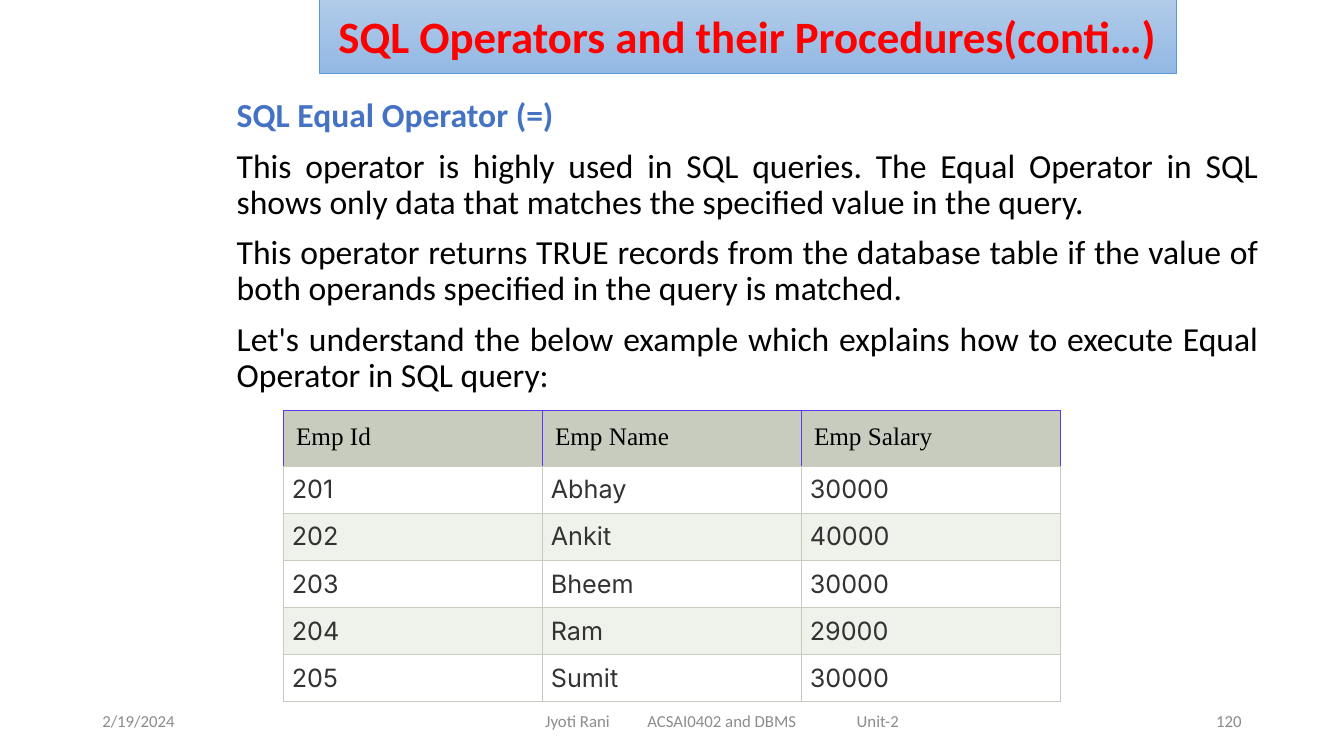
"""Build the slide on the SQL equal operator with its employee table."""
from lxml import etree
from pptx import Presentation
from pptx.dml.color import RGBColor
from pptx.enum.text import MSO_ANCHOR, MSO_AUTO_SIZE, PP_ALIGN
from pptx.oxml.ns import qn
from pptx.util import Pt

LEFT, CENTER, RIGHT, JUSTIFY = PP_ALIGN.LEFT, PP_ALIGN.CENTER, PP_ALIGN.RIGHT, PP_ALIGN.JUSTIFY
MIDDLE, NO_FIT = MSO_ANCHOR.MIDDLE, MSO_AUTO_SIZE.NONE
RED = RGBColor(0xFF, 0x00, 0x00)
BLUE = RGBColor(0x44, 0x72, 0xC4)
BLACK = RGBColor(0x00, 0x00, 0x00)
WHITE = RGBColor(0xFF, 0xFF, 0xFF)
DARK = RGBColor(0x33, 0x33, 0x33)
GRAY = RGBColor(0x8C, 0x8C, 0x8C)
PAGE_GRAY = RGBColor(0x89, 0x89, 0x89)
SKY = RGBColor(0xB1, 0xCB, 0xE9)
SKY_DEEP = RGBColor(0x93, 0xB9, 0xE4)
SKY_LINE = RGBColor(0x5B, 0x9B, 0xD5)
SAGE = RGBColor(0xC7, 0xCC, 0xBE)
SAGE_PALE = RGBColor(0xEF, 0xF1, 0xEB)
VIOLET = RGBColor(0x60, 0x35, 0xF1)


def write(p, text, align, **font):
    p.text = text
    p.alignment = align
    for name, value in font.items():
        target = p.font.color if name == "rgb" else p.font
        setattr(target, name, value)


def border(cell, colors):
    tcPr = cell._tc.get_or_add_tcPr()
    for i, (side, color) in enumerate(zip("LRTB", colors)):
        ln = etree.Element(qn(f"a:ln{side}"), w=str(Pt(0.75)))
        fill = etree.SubElement(ln, qn("a:solidFill"))
        etree.SubElement(fill, qn("a:srgbClr"), val=str(color))
        tcPr.insert(i, ln)


prs = Presentation()
prs.slide_width, prs.slide_height = Pt(960), Pt(540)
s = prs.slides.add_slide(prs.slide_layouts[5])

sp = s.shapes.title
sp.left, sp.top, sp.width, sp.height = Pt(228), Pt(-1.5), Pt(612), Pt(54)
sp.fill.gradient()
sp.fill.gradient_angle = 270
for stop, color in zip(sp.fill.gradient_stops, (SKY, SKY_DEEP)):
    stop.color.rgb = color
sp.line.color.rgb = SKY_LINE
sp.line.width = Pt(0.5)
tf = sp.text_frame
tf.auto_size = NO_FIT
tf.vertical_anchor = MIDDLE
write(tf.paragraphs[0], "SQL Operators and their Procedures(conti…)", CENTER,
      name="Calibri", size=Pt(32), bold=True, rgb=RED)

body = [
    "SQL Equal Operator (=)",
    "This operator is highly used in SQL queries. The Equal Operator in SQL shows only data "
    "that matches the specified value in the query.",
    "This operator returns TRUE records from the database table if the value of both operands "
    "specified in the query is matched.",
    "Let's understand the below example which explains how to execute Equal Operator in SQL query:",
]
tf = s.shapes.add_textbox(Pt(162), Pt(67), Pt(744), Pt(222)).text_frame
tf.word_wrap = True
for i, text in enumerate(body):
    p = tf.add_paragraph() if i else tf.paragraphs[0]
    write(p, text, JUSTIFY, name="Calibri", size=Pt(24), bold=i == 0, rgb=BLACK if i else BLUE)
    p.line_spacing = 0.9
    p.space_before = Pt(10 if i else 0)

rows = [
    ("Emp Id", "Emp Name", "Emp Salary"),
    ("201", "Abhay", "30000"),
    ("202", "Ankit", "40000"),
    ("203", "Bheem", "30000"),
    ("204", "Ram", "29000"),
    ("205", "Sumit", "30000"),
]
head = dict(name="Times New Roman", size=Pt(18), bold=False, rgb=BLACK)
data = dict(name="Inter", size=Pt(18), bold=False, rgb=DARK)
table = s.shapes.add_table(len(rows), 3, Pt(202.5), Pt(293.25), Pt(555), Pt(206)).table
for r, values in enumerate(rows):
    table.rows[r].height = Pt(33.7 if r else 37.5)
    for c, text in enumerate(values):
        cell = table.cell(r, c)
        cell.fill.solid()
        cell.fill.fore_color.rgb = (SAGE_PALE if r % 2 == 0 else WHITE) if r else SAGE
        for side in ("left", "right", "top", "bottom"):
            setattr(cell, f"margin_{side}", Pt(6 if r else 9))
        border(cell, [SAGE] * 4 if r else [VIOLET] * 3 + [SAGE])
        write(cell.text_frame.paragraphs[0], text, JUSTIFY if r else LEFT, **(data if r else head))

footers = [
    (66, 216, 7.2, "2/19/2024", LEFT, GRAY),
    (318, 396, 71.5, "Jyoti Rani\tACSAI0402 and DBMS\tUnit-2", LEFT, GRAY),
    (678, 216, 7.2, "120", RIGHT, PAGE_GRAY),
]
for left, width, inset, text, align, color in footers:
    tf = s.shapes.add_textbox(Pt(left), Pt(500.5), Pt(width), Pt(28.75)).text_frame
    tf.word_wrap = True
    tf.vertical_anchor = MIDDLE
    tf.margin_left = Pt(inset)
    p = tf.paragraphs[0]
    if "\t" in text:
        tabs = etree.SubElement(p._p.get_or_add_pPr(), qn("a:tabLst"))
        for pos in (73, 222.5):
            etree.SubElement(tabs, qn("a:tab"), pos=str(Pt(pos)), algn="l")
    write(p, text, align, name="Calibri", size=Pt(12), rgb=color)

prs.save("out.pptx")
